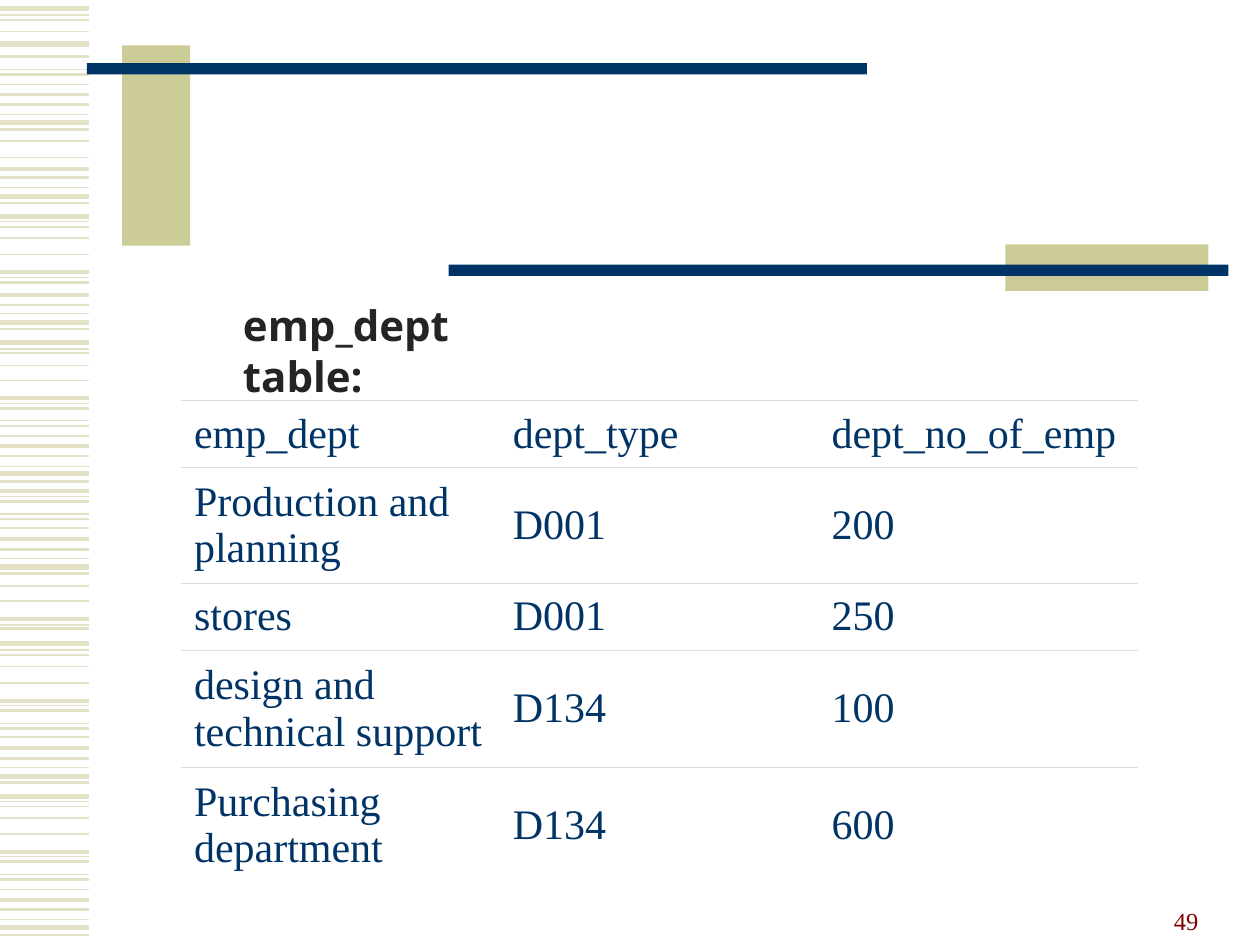
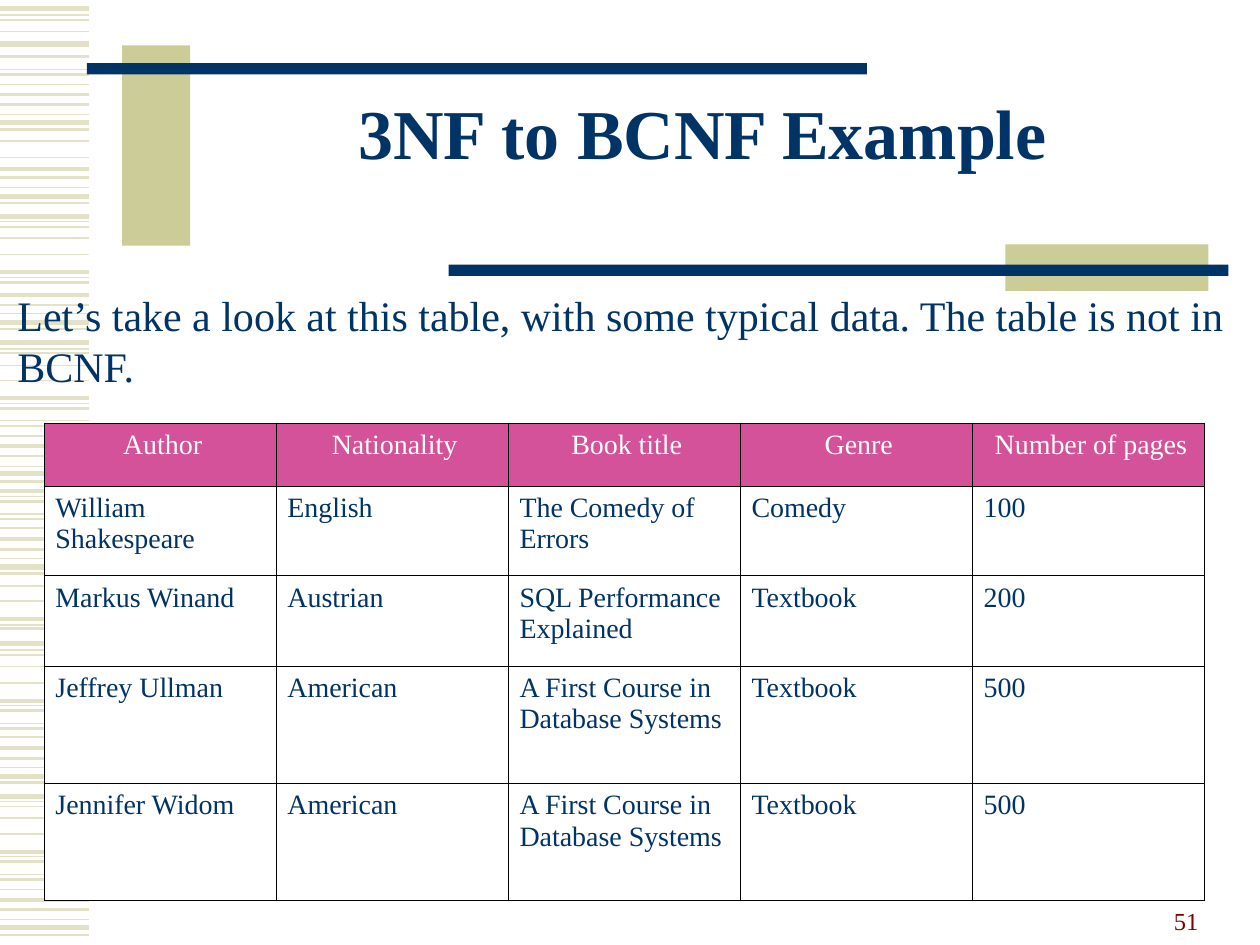
from dataclasses import dataclass

from lxml import etree
from pptx import Presentation
from pptx.dml.color import RGBColor
from pptx.enum.shapes import MSO_CONNECTOR, MSO_SHAPE
from pptx.enum.text import MSO_ANCHOR, MSO_AUTO_SIZE, PP_ALIGN
from pptx.oxml.ns import qn
from pptx.util import Emu, Pt

STRAIGHT = MSO_CONNECTOR.STRAIGHT
RECTANGLE = MSO_SHAPE.RECTANGLE
TOP, MIDDLE, BOTTOM = MSO_ANCHOR.TOP, MSO_ANCHOR.MIDDLE, MSO_ANCHOR.BOTTOM
LEFT, CENTER, RIGHT = PP_ALIGN.LEFT, PP_ALIGN.CENTER, PP_ALIGN.RIGHT
NO_AUTOFIT = MSO_AUTO_SIZE.NONE

EMU_PER_PX = 9144  # 100 px to the inch
TITLE_ONLY, BLANK = 5, 6


@dataclass(frozen=True)
class Theme:
    navy: str = "003366"
    khaki: str = "CCCC99"
    stripe: str = "E3E2C7"
    white: str = "FFFFFF"
    black: str = "000000"
    heading: str = "222426"
    pink: str = "D35299"
    maroon: str = "800000"
    rule: str = "DDDDDD"
    serif: str = "Times New Roman"
    sans: str = "Open Sans"
    title_size: int = 40
    body_size: int = 24
    table_size: int = 16
    number_size: int = 14
    border_width: float = 0.75


# Heights of the side stripes in px, by line width in points
STRIPES = {
    0.75: (12, 55, 91, 149, 176, 220, 249, 277, 320, 334, 370, 394, 408, 443,
           496, 516, 560, 574, 609, 636, 680, 694, 730),
    1: (16, 25, 67, 112, 125, 180, 189, 202, 280, 290, 302, 346, 419, 465,
        477, 520, 529, 542, 585, 640, 649, 662, 706),
    1.5: (45, 59, 83, 103, 141, 161, 224, 242, 261, 324, 338, 362, 382, 398,
          412, 436, 455, 499, 564, 578, 602, 621, 684, 698, 722, 742),
    2.25: (75, 134, 216, 234, 316, 354, 390, 428, 491, 556, 594, 676, 714),
    3: (7, 35, 97, 156, 172, 256, 272, 376, 450, 511, 616, 632, 736),
}
STRIPE_LENGTH = 71

DEPARTMENTS = [
    ("emp_dept", "dept_type", "dept_no_of_emp"),
    ("Production and planning", "D001", "200"),
    ("stores", "D001", "250"),
    ("design and technical support", "D134", "100"),
    ("Purchasing department", "D134", "600"),
]

BOOKS = [
    ("Author", "Nationality", "Book title", "Genre", "Number of pages"),
    ("William Shakespeare", "English", "The Comedy of Errors", "Comedy", "100"),
    ("Markus Winand", "Austrian", "SQL Performance Explained", "Textbook", "200"),
    ("Jeffrey Ullman", "American", "A First Course in Database Systems", "Textbook", "500"),
    ("Jennifer Widom", "American", "A First Course in Database Systems", "Textbook", "500"),
]


def px(*lengths):
    return [Emu(round(length * EMU_PER_PX)) for length in lengths]


def rgb(color):
    return RGBColor.from_string(color)


class Deck:
    def __init__(self, theme):
        self.theme = theme
        self.presentation = Presentation()
        self.presentation.slide_width, self.presentation.slide_height = px(1000, 750)
        self.slide = None

    def add_slide(self, layout_index):
        layout = self.presentation.slide_layouts[layout_index]
        self.slide = self.presentation.slides.add_slide(layout)

    def decorate_master(self):
        """Build the stripes and bars as one group and hand it to the master."""
        theme = self.theme
        group = self.slide.shapes.add_group_shape()
        for width, heights in STRIPES.items():
            for height in heights:
                self.line(group.shapes, height, width)
        self.bar(group.shapes, (97, 36, 54, 159), theme.khaki)
        self.bar(group.shapes, (69, 50, 619, 9), theme.navy)
        self.bar(group.shapes, (798, 194, 161, 37), theme.khaki)
        self.bar(group.shapes, (356, 210, 619, 9), theme.navy)
        for number, properties in enumerate(group.element.iter(qn("p:cNvPr")), start=100):
            properties.set("id", str(number))
        # Index 2 is behind the placeholders of the shape tree
        self.presentation.slide_master.shapes.element.insert(2, group.element)

    def line(self, shapes, height, width):
        connector = shapes.add_connector(STRAIGHT, *px(0, height, STRIPE_LENGTH, height))
        connector.line.color.rgb = rgb(self.theme.stripe)
        connector.line.width = Pt(width)
        etree.SubElement(connector.element.spPr, qn("a:effectLst"))

    def bar(self, shapes, box, color):
        shape = shapes.add_shape(RECTANGLE, *px(*box))
        shape.shadow.inherit = False
        shape.fill.solid()
        shape.fill.fore_color.rgb = rgb(color)
        shape.line.fill.background()

    def format_text(self, text_frame, size, color, font=None, bold=False, align=LEFT):
        for paragraph in text_frame.paragraphs:
            paragraph.alignment = align
            for run in paragraph.runs:
                run.font.name = font or self.theme.serif
                run.font.size = Pt(size)
                run.font.bold = bold
                run.font.color.rgb = rgb(color)

    def title(self, text, box):
        title = self.slide.shapes.title
        title.left, title.top, title.width, title.height = px(*box)
        text_frame = title.text_frame
        text_frame.text = text
        text_frame.auto_size = NO_AUTOFIT
        text_frame.vertical_anchor = TOP
        text_frame.paragraphs[0].line_spacing = 0.85
        self.format_text(text_frame, self.theme.title_size, self.theme.navy,
                         bold=True, align=CENTER)

    def text(self, text, box, size, color, anchor=TOP, **style):
        text_frame = self.slide.shapes.add_textbox(*px(*box)).text_frame
        text_frame.word_wrap = True
        text_frame.vertical_anchor = anchor
        text_frame.text = text
        self.format_text(text_frame, size, color, **style)

    def page_number(self, number):
        self.text(str(number), (721, 697, 240, 50), self.theme.number_size,
                  self.theme.maroon, anchor=BOTTOM, align=RIGHT)

    def table(self, rows, position, width, heights, margins, size, borders,
              header=None, anchor=TOP):
        """borders(row) gives the edge colours; header is (fill, text, align)."""
        theme = self.theme
        columns = len(rows[0])
        frame = self.slide.shapes.add_table(
            len(rows), columns, *px(*position, width, sum(heights)))
        table = frame.table
        table.first_row = table.horz_banding = False
        for column in table.columns:
            column.width, = px(width / columns)
        plain = (theme.white, theme.navy, LEFT)
        for row, (values, height) in enumerate(zip(rows, heights)):
            table.rows[row].height, = px(height)
            fill, color, align = header if header and row == 0 else plain
            for column, value in enumerate(values):
                cell = table.cell(row, column)
                cell.text = value
                cell.vertical_anchor = anchor
                (cell.margin_left, cell.margin_top,
                 cell.margin_right, cell.margin_bottom) = px(*margins)
                self.cell_borders(cell, borders(row))
                cell.fill.solid()
                cell.fill.fore_color.rgb = rgb(fill)
                self.format_text(cell.text_frame, size, color, align=align)

    def cell_borders(self, cell, edges):
        properties = cell._tc.get_or_add_tcPr()
        for side in "LRTB":
            line = etree.SubElement(properties, qn(f"a:ln{side}"))
            if side in edges:
                line.set("w", str(Pt(self.theme.border_width)))
                fill = etree.SubElement(line, qn("a:solidFill"))
                etree.SubElement(fill, qn("a:srgbClr")).set("val", edges[side])
            else:
                etree.SubElement(line, qn("a:noFill"))


def department_slide(deck):
    theme = deck.theme
    last_row = len(DEPARTMENTS) - 1

    def rules(row):
        return dict.fromkeys("T" if row == last_row else "TB", theme.rule)

    deck.text("emp_dept table:", (183, 233, 278, 90), theme.body_size,
              theme.heading, font=theme.sans, bold=True)
    deck.table(DEPARTMENTS, (144, 318), 759, (53, 92, 53, 93, 92), (10, 6, 10, 6),
               theme.body_size, rules, anchor=MIDDLE)
    deck.page_number(49)


def book_slide(deck):
    theme = deck.theme
    deck.text("Let’s take a look at this table, with some typical data. "
              "The table is not in BCNF.", (4, 225, 996, 91),
              theme.body_size, theme.navy)
    deck.table(BOOKS, (35, 336), 921, (50, 71, 72, 93, 93), (9, 5, 5, 5),
               theme.table_size, lambda row: dict.fromkeys("LRTB", theme.black),
               header=(theme.pink, theme.white, CENTER))
    deck.title("3NF to BCNF Example", (154, 76, 807, 125))
    deck.page_number(51)


def main():
    deck = Deck(Theme())
    deck.add_slide(BLANK)
    deck.decorate_master()
    department_slide(deck)
    deck.add_slide(TITLE_ONLY)
    book_slide(deck)
    deck.presentation.save("out.pptx")


if __name__ == "__main__":
    main()
